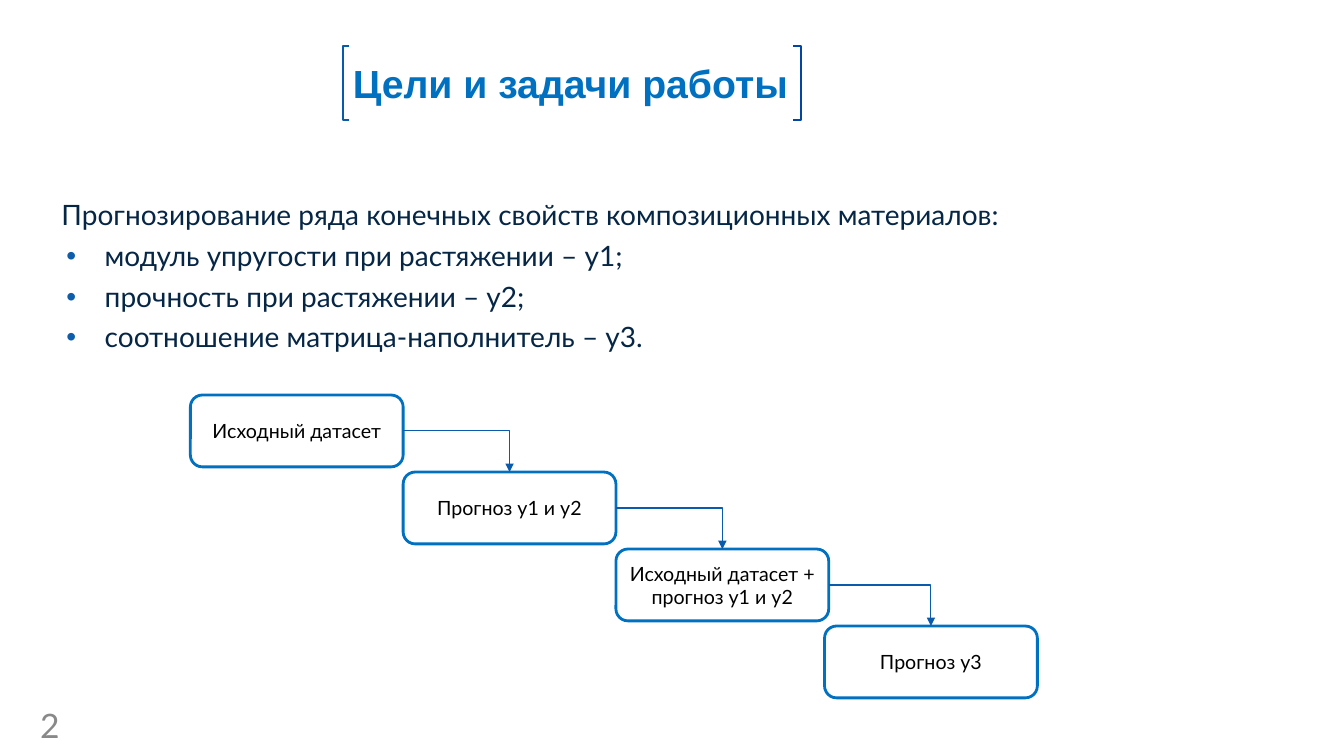
from dataclasses import dataclass
from itertools import pairwise

from lxml.etree import SubElement
from pptx import Presentation
from pptx.dml.color import RGBColor
from pptx.enum.shapes import MSO_CONNECTOR, MSO_SHAPE
from pptx.enum.text import MSO_ANCHOR, MSO_AUTO_SIZE, PP_ALIGN
from pptx.oxml.ns import qn
from pptx.util import Pt

WHITE = RGBColor(0xFF, 0xFF, 0xFF)
BLACK = RGBColor(0, 0, 0)
NAVY = RGBColor(0x06, 0x26, 0x46)
BLUE = RGBColor(0x00, 0x70, 0xC0)
LINE_BLUE = RGBColor(0x0A, 0x5B, 0xAB)
BULLET_BLUE = RGBColor(0x0E, 0x5D, 0xAB)
LEFT_BLUE = RGBColor(0x06, 0x5C, 0xAB)
RIGHT_BLUE = RGBColor(0x00, 0x46, 0xA2)
GREY = RGBColor(0x89, 0x89, 0x89)

BOX_W, BOX_H = 152, 51.3
FIRST_TOP, STEP_Y = 282.2, 55
BRACKET_TOP, BRACKET_BOTTOM = 33.1, 85.7


@dataclass
class Step:
    text: str
    left: float


@dataclass
class Bracket:
    edge: float
    tip: float
    color: RGBColor


@dataclass
class Line:
    text: str
    bulleted: bool = True


STEPS = [
    Step("Исходный датасет", 136),
    Step("Прогноз y1 и y2", 288),
    Step("Исходный датасет + прогноз y1 и y2", 440),
    Step("Прогноз y3", 589),
]
BRACKETS = [Bracket(244.8, 249.4, LEFT_BLUE), Bracket(572.4, 566.8, RIGHT_BLUE)]
LINES = [
    Line("Прогнозирование ряда конечных свойств композиционных материалов:", False),
    Line("модуль упругости при растяжении – y1;"),
    Line("прочность при растяжении – y2;"),
    Line("соотношение матрица-наполнитель – y3."),
]


def add_run(p, text: str, size: float, color: RGBColor, font: str = "Lato", bold: bool = False) -> None:
    r = p.add_run()
    r.text = text
    r.font.size = Pt(size)
    r.font.name = font
    r.font.bold = bold
    r.font.color.rgb = color


def add_title(s, text: str) -> None:
    sp = s.shapes.title
    sp.left, sp.top, sp.width, sp.height = Pt(244.8), Pt(33.1), Pt(335.5), Pt(52.6)
    sp.fill.solid()
    sp.fill.fore_color.rgb = WHITE
    sp.line.color.rgb = WHITE
    sp.line.width = Pt(2)
    tf = sp.text_frame
    tf.auto_size = MSO_AUTO_SIZE.NONE
    tf.vertical_anchor = MSO_ANCHOR.MIDDLE
    p = tf.paragraphs[0]
    p.alignment = PP_ALIGN.LEFT
    add_run(p, text, 28, BLUE, "Arial", True)


def add_bracket(s, bracket: Bracket) -> None:
    builder = s.shapes.build_freeform(Pt(bracket.tip), Pt(BRACKET_TOP))
    builder.add_line_segments([
        (Pt(bracket.edge), Pt(BRACKET_TOP)),
        (Pt(bracket.edge), Pt(BRACKET_BOTTOM)),
        (Pt(bracket.tip), Pt(BRACKET_BOTTOM)),
    ], close=False)
    sp = builder.convert_to_shape()
    sp.shadow.inherit = False
    sp.fill.background()
    sp.line.color.rgb = bracket.color
    sp.line.width = Pt(1.3)


def add_body(s, lines: list[Line]) -> None:
    tf = s.shapes.add_textbox(Pt(31), Pt(110.9), Pt(893.5), Pt(395.3)).text_frame
    tf.word_wrap = True
    tf.margin_top = Pt(33)
    for i, line in enumerate(lines):
        p = tf.paragraphs[0] if i == 0 else tf.add_paragraph()
        p.line_spacing = 0.9
        p.space_before = Pt(7.5 if i else 0)
        add_run(p, line.text, 20, NAVY)
        pPr = p._p.get_or_add_pPr()
        pPr.set("marL", str(Pt(36.7 if line.bulleted else 5.8)))
        pPr.set("indent", str(Pt(-27.4 if line.bulleted else 0)))
        if line.bulleted:
            color = SubElement(pPr, qn("a:buClr"))
            SubElement(color, qn("a:srgbClr"), val=str(BULLET_BLUE))
            SubElement(pPr, qn("a:buFont"), typeface="Arial")
            SubElement(pPr, qn("a:buChar"), char="•")


def add_page_number(s, text: str) -> None:
    tf = s.shapes.add_textbox(Pt(21.6), Pt(506.9), Pt(44.6), Pt(21.6)).text_frame
    tf.word_wrap = True
    tf.vertical_anchor = MSO_ANCHOR.MIDDLE
    add_run(tf.paragraphs[0], text, 24, GREY)


def add_step(s, step: Step, top: float):
    sp = s.shapes.add_shape(MSO_SHAPE.ROUNDED_RECTANGLE, Pt(step.left), Pt(top), Pt(BOX_W), Pt(BOX_H))
    sp.shadow.inherit = False
    sp.fill.solid()
    sp.fill.fore_color.rgb = WHITE
    sp.line.color.rgb = BLUE
    sp.line.width = Pt(2)
    tf = sp.text_frame
    tf.word_wrap = True
    tf.vertical_anchor = MSO_ANCHOR.MIDDLE
    p = tf.paragraphs[0]
    p.alignment = PP_ALIGN.CENTER
    add_run(p, step.text, 14, BLACK)
    return sp


def add_arrow(s, source, target) -> None:
    c = s.shapes.add_connector(MSO_CONNECTOR.ELBOW, 0, 0, 0, 0)
    c.begin_connect(source, 3)
    c.end_connect(target, 0)
    c.line.color.rgb = LINE_BLUE
    c.line.width = Pt(0.75)
    spPr = c._element.spPr
    spPr.find(qn("a:prstGeom")).set("prst", "bentConnector2")
    SubElement(spPr.find(qn("a:ln")), qn("a:tailEnd"), type="triangle")
    SubElement(spPr, qn("a:effectLst"))


def main() -> None:
    prs = Presentation()
    prs.slide_width, prs.slide_height = Pt(960), Pt(540)
    s = prs.slides.add_slide(prs.slide_layouts[5])
    add_title(s, "Цели и задачи работы")
    for bracket in BRACKETS:
        add_bracket(s, bracket)
    add_body(s, LINES)
    add_page_number(s, "2")
    boxes = [add_step(s, step, FIRST_TOP + i * STEP_Y) for i, step in enumerate(STEPS)]
    for source, target in pairwise(boxes):
        add_arrow(s, source, target)
    prs.save("out.pptx")


if __name__ == "__main__":
    main()
